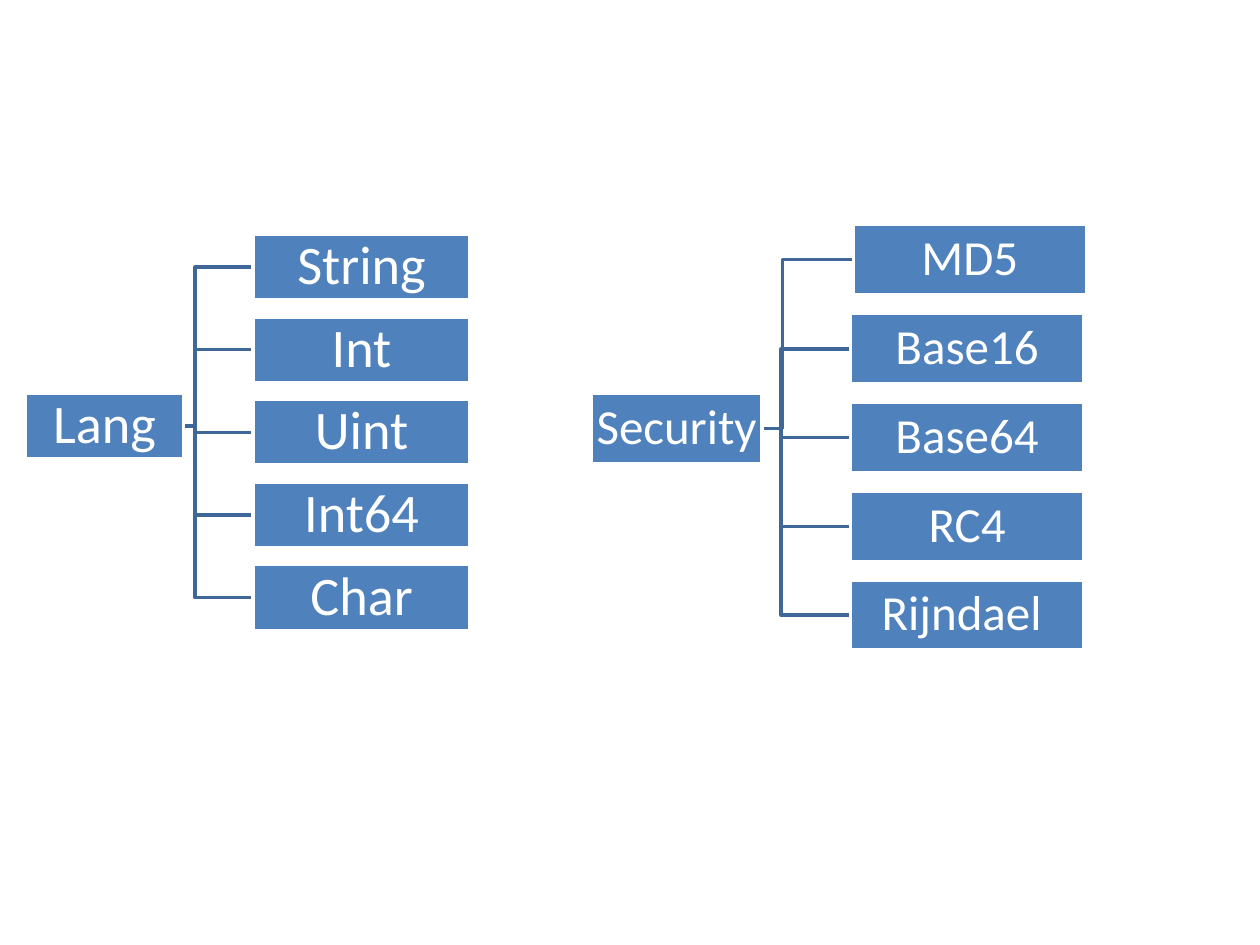
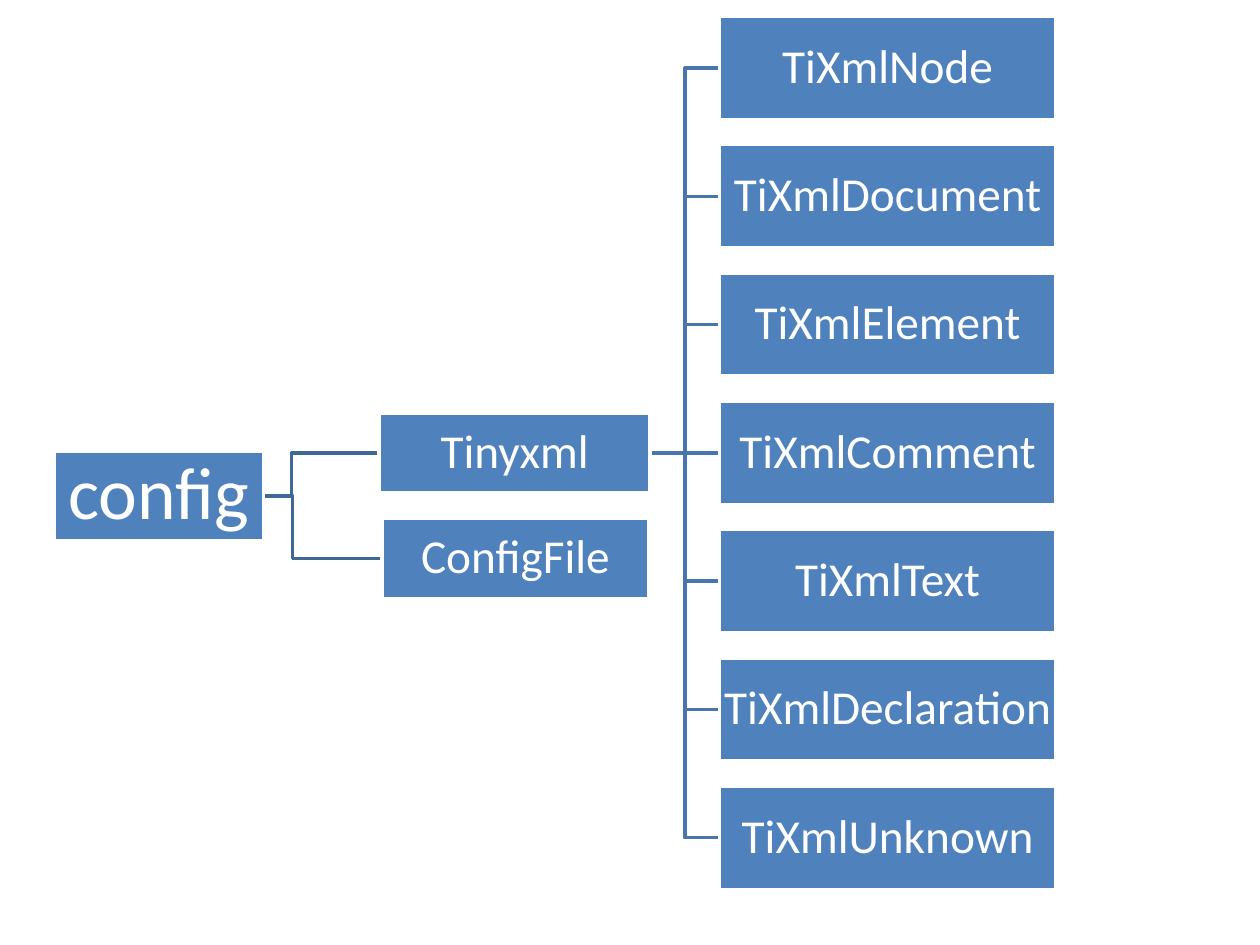
import pptx
import pptx.util
import pptx.dml.color
import pptx.enum.shapes
import pptx.enum.text

Pt = pptx.util.Pt


def rgb(value):
    return pptx.dml.color.RGBColor.from_string(value)


def column(x, y, w, h, pitch, labels):
    return [(label, x, y + i * pitch, w, h) for i, label in enumerate(labels)]


class Diagram:
    fill = "4F81BD"
    white = "FFFFFF"
    link_color = "3F6797"
    sub_link_color = "4875AC"
    font = "Calibri"
    line_width = 2

    def __init__(self, prs):
        self.prs = prs
        self.s = None

    def slide(self):
        self.s = self.prs.slides.add_slide(self.prs.slide_layouts[6])

    def outline(self, sp, color):
        sp.shadow.inherit = False
        sp.line.color.rgb = rgb(color)
        sp.line.width = Pt(self.line_width)

    def link(self, start, end, color):
        (x1, y1), (x2, y2) = start, end
        mid = (x1 + x2) / 2
        fb = self.s.shapes.build_freeform(Pt(x1), Pt(y1))
        points = [(mid, y1), (mid, y2), (x2, y2)]
        fb.add_line_segments([(Pt(x), Pt(y)) for x, y in points], close=False)
        sp = fb.convert_to_shape()
        sp.fill.background()
        self.outline(sp, color)

    def links(self, parent, children, reach, color):
        _, x, y, w, h = parent
        start = (x + w / 2 + reach, y + h / 2)
        for _, cx, cy, _, ch in children:
            self.link(start, (cx, cy + ch / 2), color)

    def box(self, node, size):
        label, x, y, w, h = node
        sp = self.s.shapes.add_shape(
            pptx.enum.shapes.MSO_SHAPE.RECTANGLE, Pt(x), Pt(y), Pt(w), Pt(h))
        sp.fill.solid()
        sp.fill.fore_color.rgb = rgb(self.fill)
        self.outline(sp, self.white)
        tf = sp.text_frame
        inset = Pt(size / 18)
        frame_format = {
            "margin_left": inset, "margin_right": inset,
            "margin_top": inset, "margin_bottom": inset,
            "word_wrap": False,
            "vertical_anchor": pptx.enum.text.MSO_ANCHOR.MIDDLE,
        }
        for name, value in frame_format.items():
            setattr(tf, name, value)
        p = tf.paragraphs[0]
        p.alignment = pptx.enum.text.PP_ALIGN.CENTER
        p.line_spacing = 0.9
        r = p.add_run()
        r.text = label
        for name, value in {"name": self.font, "size": Pt(size)}.items():
            setattr(r.font, name, value)
        r.font.color.rgb = rgb(self.white)

    def boxes(self, nodes, size):
        for node in nodes:
            self.box(node, size)

    def tree(self, root, children, size):
        self.links(root, children, root[4] / 2, self.link_color)
        self.boxes([root] + children, size)


prs = pptx.Presentation()
prs.slide_width, prs.slide_height = Pt(720), Pt(540)
d = Diagram(prs)

d.slide()
lang = ("Lang", 14.4, 224.6, 90.6, 37.5)
types = column(144.7, 133.9, 123.8, 37.5, 47.2,
               ["String", "Int", "Uint", "Int64", "Char"])
d.tree(lang, types, 31)

security = ("Security", 337.7, 224.7, 97.9, 40.3)
md5 = ("MD5", 487.6, 128.2, 133.2, 40.3)
ciphers = column(486, 179.2, 133.2, 40.3, 50.7,
                 ["Base16", "Base64", "RC4", "Rijndael\u00a0"])
d.tree(security, [md5] + ciphers, 28)

d.slide()
config = ("config", 31, 257.8, 119.5, 51.1)
tinyxml = ("Tinyxml", 216.7, 236.2, 154.8, 45.4)
config_file = ("ConfigFile", 218.2, 296, 152.6, 46.1)
classes = column(411.1, 9.4, 192.2, 59, 73.3,
                 ["TiXmlNode", "TiXmlDocument", "TiXmlElement",
                  "TiXmlComment", "TiXmlText", "TiXmlDeclaration",
                  "TiXmlUnknown"])
modules = [tinyxml, config_file]
d.links(config, modules, config[4] / 2, d.link_color)
d.links(tinyxml, classes, tinyxml[3] / 2, d.sub_link_color)
d.box(config, 42)
d.boxes(modules + classes, 27)

prs.save("out.pptx")
